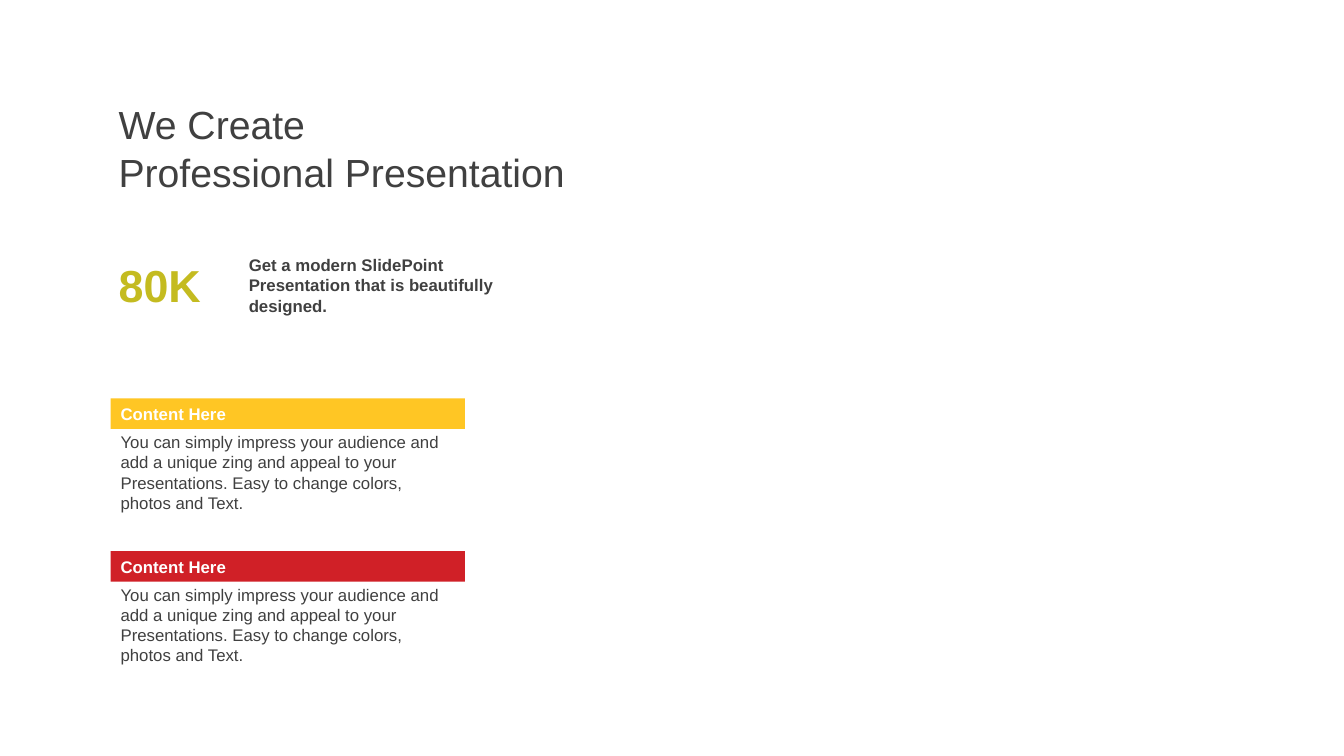
from pptx import Presentation
from pptx import util as u
from pptx.dml import color
from pptx.enum import shapes, text

COLORS = {
    "dark": "404040",
    "white": "FFFFFF",
    "yellow": "FFC624",
    "red": "D02027",
    "olive": "C4BB20",
}
LEFT = 2.79
CARD_WIDTH = 8.93
CARD_TOP = 10.04
CARD_STEP = 3.85
BODY_OFFSET = 0.72
BODY = (
    "You can simply impress your audience and add a unique zing and appeal "
    "to your Presentations. Easy to change colors, photos and Text."
)


def write(shape, content, size, color_name, bold=False):
    frame = shape.text_frame
    frame.word_wrap = True
    frame.text = content
    for paragraph in frame.paragraphs:
        paragraph.alignment = text.PP_ALIGN.LEFT
        for run in paragraph.runs:
            run.font.name = "Arial"
            run.font.size = u.Pt(size)
            run.font.bold = bold
            run.font.color.rgb = color.RGBColor.from_string(COLORS[color_name])
    return frame


def add_text(parent, left, top, width, height, content, size, color_name, bold=False):
    box = parent.add_textbox(u.Cm(left), u.Cm(top), u.Cm(width), u.Cm(height))
    return write(box, content, size, color_name, bold)


presentation = Presentation()
presentation.slide_width = u.Cm(33.87)
presentation.slide_height = u.Cm(19.05)
slide = presentation.slides.add_slide(presentation.slide_layouts[6])

for index, bar_color in enumerate(["yellow", "red"]):
    top = CARD_TOP + index * CARD_STEP
    card = slide.shapes.add_group_shape().shapes
    bar = card.add_shape(
        shapes.MSO_SHAPE.RECTANGLE,
        u.Cm(LEFT), u.Cm(top), u.Cm(CARD_WIDTH), u.Cm(0.77),
    )
    bar.shadow.inherit = False
    bar.fill.solid()
    bar.fill.fore_color.rgb = color.RGBColor.from_string(COLORS[bar_color])
    bar.line.fill.background()
    frame = write(bar, "Content Here", 12, "white", bold=True)
    frame.vertical_anchor = text.MSO_ANCHOR.MIDDLE
    add_text(card, LEFT, top + BODY_OFFSET, CARD_WIDTH, 2.31, BODY, 12, "dark")

add_text(
    slide.shapes, 6.02, 6.3, 7.29, 1.8,
    "Get a modern SlidePoint Presentation that is beautifully designed.",
    12, "dark", bold=True,
)

figure = add_text(slide.shapes, LEFT, 6.5, 2.82, 1.37, "80K", 32, "olive", bold=True)
title = add_text(
    slide.shapes, LEFT, 2.54, 11.66, 2.39,
    "We Create\nProfessional Presentation", 28, "dark",
)
for frame in (figure, title):
    frame.margin_left = u.Cm(0.2)
    frame.margin_right = u.Cm(0.1)
    frame.margin_top = frame.margin_bottom = 0

presentation.save("out.pptx")
